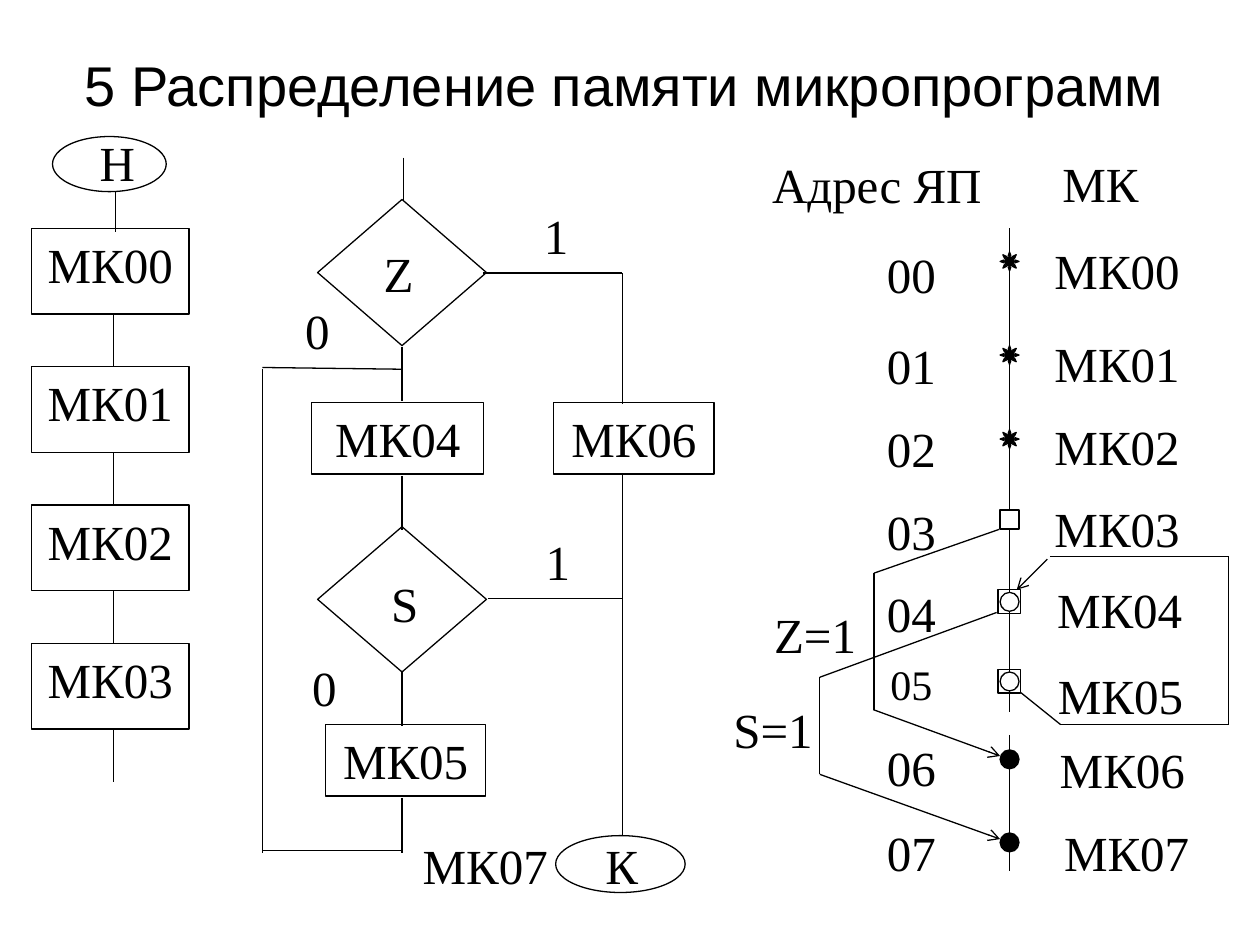
"""Build the slide on memory allocation for microprograms."""
from dataclasses import dataclass
from typing import Optional

from lxml import etree
from pptx import Presentation
from pptx import util as u
from pptx.dml.color import RGBColor
from pptx.enum import shapes, text
from pptx.oxml import ns

BLACK = RGBColor(0, 0, 0)
WHITE = RGBColor(255, 255, 255)
SERIF = "Times New Roman"
CENTER, LEFT = text.PP_ALIGN.CENTER, text.PP_ALIGN.LEFT
RECT, OVAL = shapes.MSO_SHAPE.RECTANGLE, shapes.MSO_SHAPE.OVAL
DIAMOND, SUN = shapes.MSO_SHAPE.DIAMOND, shapes.MSO_SHAPE.SUN


@dataclass
class Block:
    kind: shapes.MSO_SHAPE
    x: float
    y: float
    w: float
    h: float
    label: str = ""
    fill: Optional[RGBColor] = None


@dataclass
class Label:
    label: str
    x: float
    y: float
    w: float = 98.6
    h: float = 36
    size: float = 28
    align: text.PP_ALIGN = CENTER


@dataclass
class Line:
    x1: float
    y1: float
    x2: float
    y2: float
    arrow: bool = False


@dataclass
class Row:
    """One memory cell: marker, address and microcommand."""
    kind: shapes.MSO_SHAPE
    fill: RGBColor
    marker_y: float
    address_y: float
    command_x: float
    command_y: float
    size: float = 28
    framed: bool = False


COLUMN_TOP, COLUMN_STEP, COLUMN_H = 130.5, 79, 49

FLOW_BLOCKS = [
    Block(OVAL, 30, 78, 65, 31.5),
    *[Block(RECT, 18, COLUMN_TOP + i * COLUMN_STEP, 90, COLUMN_H, f"МК0{i}")
      for i in range(4)],
    Block(DIAMOND, 181.5, 114, 96.5, 83.5),
    Block(RECT, 178, 230, 98.5, 41, "МК04"),
    Block(DIAMOND, 181.5, 301, 96.5, 83),
    Block(RECT, 186, 414, 91.5, 41, "МК05"),
    Block(RECT, 316.5, 230, 91.5, 41, "МК06"),
    Block(OVAL, 317.5, 477.5, 74, 32.5),
]

LABELS = [
    Label("Н", 8, 72, 118, 43),
    Label("Z", 178.5, 135.5),
    Label("S", 182, 324),
    Label("1", 268.5, 114),
    Label("0", 132, 168),
    Label("1", 269.5, 300),
    Label("0", 136, 372),
    Label("К", 306, 474),
    Label("МК07", 228, 474),
    Label("Z=1", 432, 342, 67.5, 27),
    Label("S=1", 408, 396, 67.5, 27),
    Label("МК", 600, 84, 90, 31, align=LEFT),
    Label("Адрес ЯП", 420, 85, 162, 47),
]

FLOW_LINES = [
    Line(66, 110, 66, 132.5),
    *[Line(64.8, y, 64.8, y + 30.5)
      for y in (COLUMN_TOP + COLUMN_H + i * COLUMN_STEP for i in range(4))],
    Line(230.5, 90, 230.5, 115),
    Line(229.7, 198, 229.7, 229),
    Line(229.7, 272, 229.7, 303),
    Line(229.7, 384, 229.7, 415),
    Line(229.7, 456, 229.7, 487.5),
    Line(150, 211, 150, 487.5),
    Line(150, 210, 229.7, 211),
    Line(150, 486, 229.7, 486),
    Line(276, 156, 355.7, 156),
    Line(355.7, 156, 355.7, 231),
    Line(279, 342, 355.7, 342),
    Line(355.7, 271.5, 355.7, 478),
]

MEMORY_LINES = [
    Line(577, 130.5, 577, 407),
    Line(577, 420, 577, 497.5),
    Line(571, 302.5, 499.5, 327.5),
    Line(499.5, 327.5, 499.5, 405.5),
    Line(499, 405.5, 571.5, 432, arrow=True),
    Line(569.5, 350, 468.5, 387),
    Line(468.5, 387, 468.5, 442.5),
    Line(468.5, 442.5, 571.5, 479.5, arrow=True),
    Line(583, 395.5, 606, 414),
    Line(606, 414, 702, 414),
    Line(702, 318, 702, 414),
    Line(600, 318, 702, 318),
    Line(598.5, 319.5, 581, 337, arrow=True),
]

ROWS = [
    Row(SUN, BLACK, 144, 136, 595.5, 134),
    Row(SUN, BLACK, 197.5, 188, 595.5, 187),
    Row(SUN, BLACK, 245.5, 235.5, 595.5, 234.5),
    Row(RECT, WHITE, 291.5, 283, 595.5, 281.5),
    Row(OVAL, WHITE, 338.5, 330, 597, 327.5, framed=True),
    Row(OVAL, WHITE, 384, 373, 597.5, 376.5, size=24, framed=True),
    Row(OVAL, BLACK, 428.5, 418, 598.5, 419),
    Row(OVAL, BLACK, 476, 466.5, 601, 466.5),
]


def write(tf, label: str, size: float, align: text.PP_ALIGN,
          font: str = SERIF) -> None:
    tf.word_wrap = True
    p = tf.paragraphs[0]
    p.text = label
    p.alignment = align
    p.font.name, p.font.size = font, u.Pt(size)
    p.font.color.rgb = BLACK


def draw_block(s, b: Block) -> None:
    sp = s.shapes.add_shape(b.kind, *map(u.Pt, (b.x, b.y, b.w, b.h)))
    sp.shadow.inherit = False
    if b.fill is None:
        sp.fill.background()
    else:
        sp.fill.solid()
        sp.fill.fore_color.rgb = b.fill
    sp.line.color.rgb, sp.line.width = BLACK, u.Pt(0.75)
    if b.label:
        sp.text_frame.vertical_anchor = text.MSO_ANCHOR.TOP
        write(sp.text_frame, b.label, 28, CENTER)


def draw_label(s, t: Label) -> None:
    sp = s.shapes.add_textbox(*map(u.Pt, (t.x, t.y, t.w, t.h)))
    write(sp.text_frame, t.label, t.size, t.align)


def draw_line(s, n: Line) -> None:
    sp = s.shapes.add_connector(shapes.MSO_CONNECTOR.STRAIGHT,
                                *map(u.Pt, (n.x1, n.y1, n.x2, n.y2)))
    sp.line.color.rgb, sp.line.width = BLACK, u.Pt(0.75)
    if n.arrow:
        etree.SubElement(sp.line._get_or_add_ln(), ns.qn("a:tailEnd"), type="arrow")
    etree.SubElement(sp._element.spPr, ns.qn("a:effectLst"))


def draw_row(s, i: int, row: Row) -> None:
    draw_block(s, Block(row.kind, 571.5, row.marker_y, 10.8, 10.8, fill=row.fill))
    if row.framed:
        draw_block(s, Block(RECT, 570.3, row.marker_y - 1.5, 13, 13.5))
    draw_label(s, Label(f"0{i}", 487, row.address_y, 67.5, 27, row.size))
    draw_label(s, Label(f"МК0{i}", row.command_x, row.command_y, 100, 31, align=LEFT))


def main() -> None:
    prs = Presentation()
    prs.slide_width, prs.slide_height = u.Pt(720), u.Pt(540)
    s = prs.slides.add_slide(prs.slide_layouts[5])
    title = s.shapes.title
    title.left, title.top, title.width, title.height = map(u.Pt, (18, 18, 678, 60))
    title.text_frame.vertical_anchor = text.MSO_ANCHOR.MIDDLE
    write(title.text_frame, "5 Распределение памяти микропрограмм", 32, CENTER, "Arial")
    for b in FLOW_BLOCKS:
        draw_block(s, b)
    for n in FLOW_LINES + MEMORY_LINES:
        draw_line(s, n)
    for t in LABELS:
        draw_label(s, t)
    for i, row in enumerate(ROWS):
        draw_row(s, i, row)
    prs.save("out.pptx")


if __name__ == "__main__":
    main()
